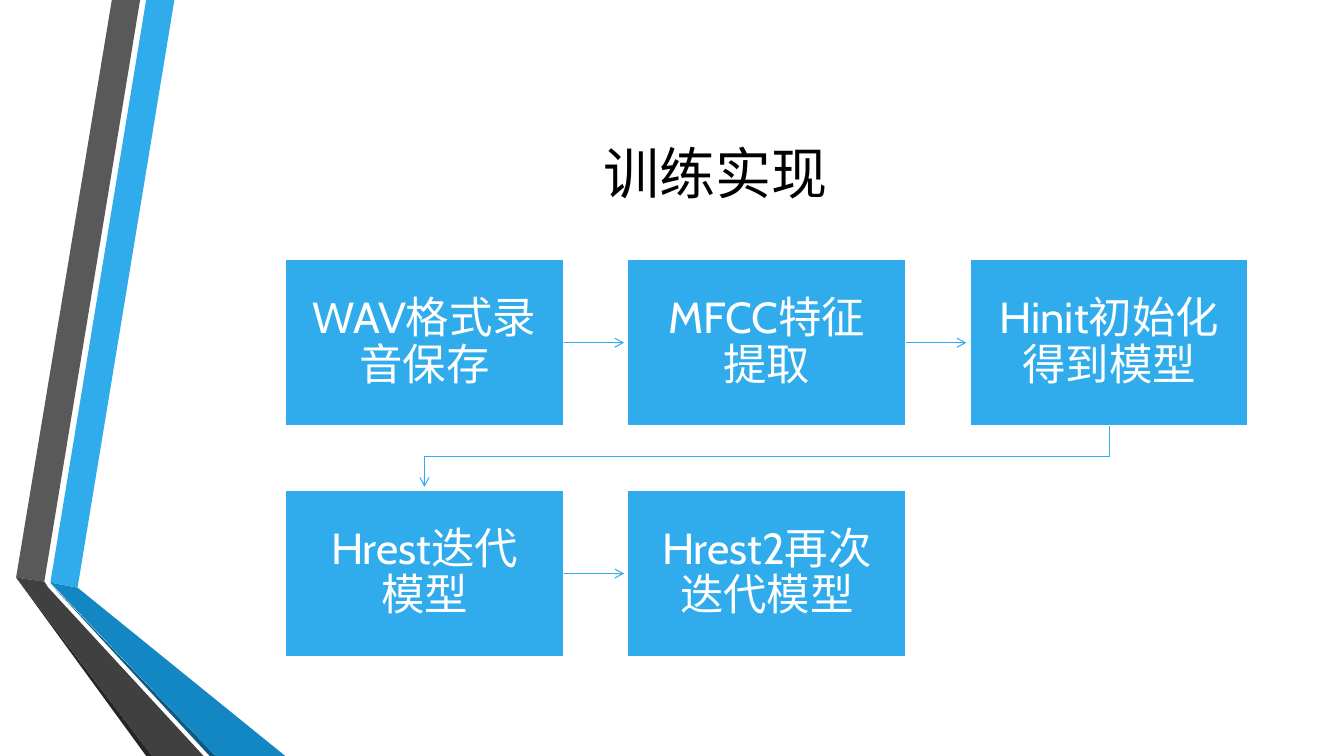
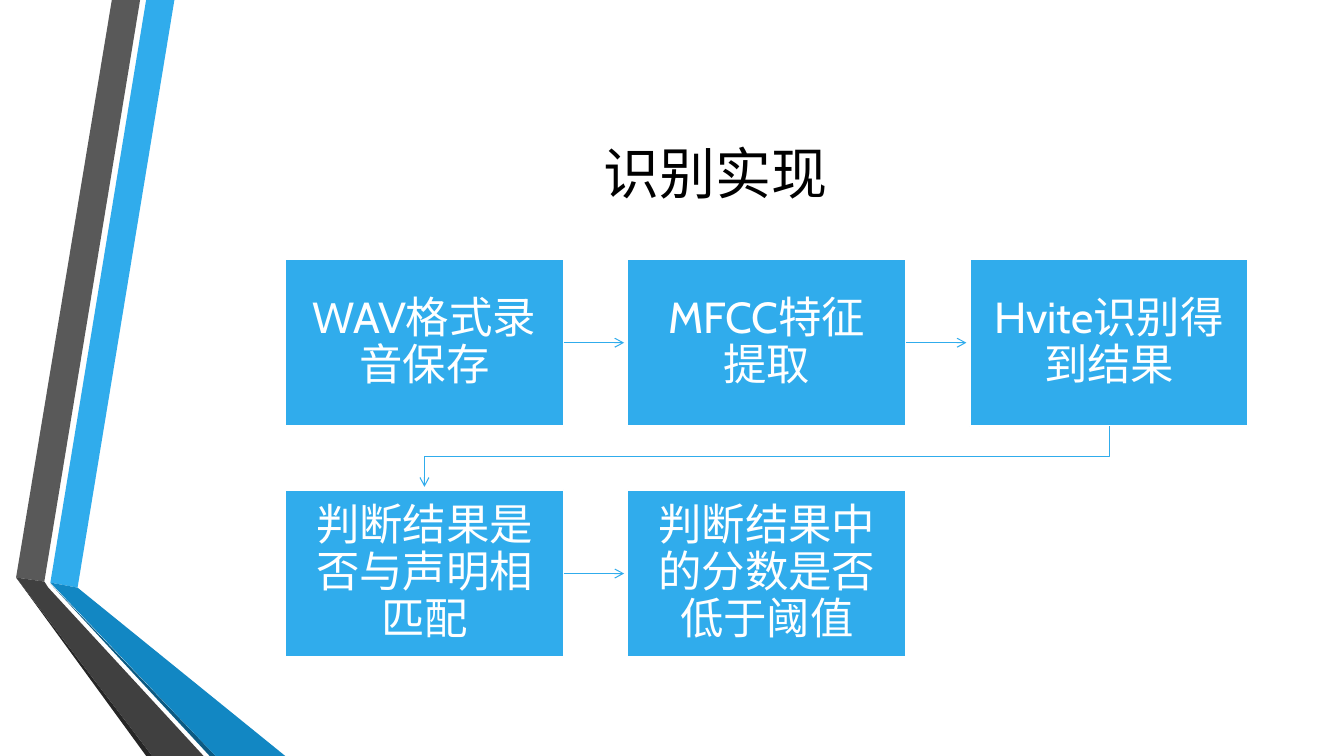
from lxml import etree
from pptx import Presentation
from pptx.dml.color import RGBColor
from pptx.enum.lang import MSO_LANGUAGE_ID
from pptx.enum.shapes import MSO_CONNECTOR, MSO_SHAPE
from pptx.enum.text import MSO_ANCHOR, PP_ALIGN
from pptx.oxml.ns import qn
from pptx.util import Inches, Pt

RECT = MSO_SHAPE.RECTANGLE
LINE, ELBOW = MSO_CONNECTOR.STRAIGHT, MSO_CONNECTOR.ELBOW
MIDDLE, CENTER = MSO_ANCHOR.MIDDLE, PP_ALIGN.CENTER
CHINESE = MSO_LANGUAGE_ID.SIMPLIFIED_CHINESE

BLUE, WHITE, BLACK = "30ACEC", "FFFFFF", "000000"
FONT = {"name": "Cabin", "language_id": CHINESE}

# Ribbon pieces, back to front: colour and corner points
RIBBONS = [
    (BLUE, [(0.5, 5.78), (0.77, 5.83), (1.73, 0), (1.45, 0)]),
    ("595959", [(1.39, 0), (1.11, 0), (0.16, 5.73), (0.44, 5.77)]),
    ("262626", [(0.16, 5.73), (1.45, 7.5), (1.51, 7.5)]),
    ("0C5A82", [(0.5, 5.79), (2.08, 7.5), (2.14, 7.5)]),
    ("1287C3", [(0.5, 5.78), (2.14, 7.5), (2.83, 7.5), (0.77, 5.83)]),
    ("404040", [(2.02, 7.5), (0.48, 5.83), (0.44, 5.77), (0.16, 5.73),
                (1.51, 7.5)]),
]

# Flow grid, three boxes to a row
COLS = 3
LEFT, RIGHT, TOP = 2.83, 12.38, 2.57
WIDE, HIGH = 2.76, 1.66
STEP = (RIGHT - LEFT - WIDE) / (COLS - 1)
DROP = 2.29
REACH = 0.6

FLOWS = {
    "训练实现": ["WAV格式录音保存", "MFCC特征提取", "Hinit初始化得到模型",
             "Hrest迭代模型", "Hrest2再次迭代模型"],
    "识别实现": ["WAV格式录音保存", "MFCC特征提取", "Hvite识别得到结果",
             "判断结果是否与声明相匹配", "判断结果中的分数是否低于阈值"],
}


def color(code):
    return RGBColor.from_string(code)


def write(frame, text, size, code):
    frame.word_wrap = True
    frame.vertical_anchor = MIDDLE
    para = frame.paragraphs[0]
    para.alignment = CENTER
    run = para.add_run()
    run.text = text
    for key, value in {**FONT, "size": Pt(size)}.items():
        setattr(run.font, key, value)
    run.font.color.rgb = color(code)
    return para


deck = Presentation()
deck.slide_width, deck.slide_height = Inches(13.33), Inches(7.5)

# Shared layout: title place and ribbons
layout = deck.slide_layouts.get_by_name("Title Only")
place = {"left": 1.62, "top": 0.75, "width": 10.96, "height": 1.92}
for key, value in place.items():
    setattr(layout.placeholders[0], key, Inches(value))

slides = [deck.slides.add_slide(layout) for title in FLOWS]
for code, points in RIBBONS:
    spots = [(Inches(x), Inches(y)) for x, y in points]
    pen = slides[0].shapes.build_freeform(*spots[0])
    pen.add_line_segments(spots[1:], close=True)
    ribbon = pen.convert_to_shape()
    ribbon.shadow.inherit = False
    ribbon.fill.solid()
    ribbon.fill.fore_color.rgb = color(code)
    ribbon.line.fill.background()
    layout.shapes.element.append(ribbon.element)

for slide, (title, steps) in zip(slides, FLOWS.items()):
    shapes = slide.shapes
    write(shapes.title.text_frame, title, 40, BLACK)

    for i, text in enumerate(steps):
        row, col = divmod(i, COLS)
        x, y = LEFT + col * STEP, TOP + row * DROP

        # Step box
        box = shapes.add_shape(RECT, Inches(x), Inches(y),
                               Inches(WIDE), Inches(HIGH))
        box.shadow.inherit = False
        box.fill.solid()
        box.fill.fore_color.rgb = color(BLUE)
        box.line.color.rgb = color(WHITE)
        box.line.width = Pt(1.25)
        frame = box.text_frame
        for side in ("left", "right", "top", "bottom"):
            setattr(frame, f"margin_{side}", Inches(0.24))
        write(frame, text, 31, WHITE).line_spacing = 0.9

        # Arrow to the next step
        if i == len(steps) - 1:
            continue
        turn = col == COLS - 1
        if turn:
            # Box of the elbow before its quarter turn
            span = col * STEP
            midx, midy = x + WIDE / 2 - span / 2, y + HIGH + REACH / 2
            ends = (midx - REACH / 2, midy - span / 2,
                    midx + REACH / 2, midy + span / 2)
        else:
            mid = y + HIGH / 2
            ends = (x + WIDE, mid, x + WIDE + REACH, mid)
        arrow = shapes.add_connector(ELBOW if turn else LINE,
                                     *[Inches(v) for v in ends])
        arrow.line.color.rgb = color(BLUE)
        arrow.line.width = Pt(0.75)
        props = arrow.element.spPr
        if turn:
            props.find(qn("a:xfrm")).set("rot", "5400000")
        etree.SubElement(props.find(qn("a:ln")), qn("a:tailEnd"), type="arrow")
        etree.SubElement(props, qn("a:effectLst"))

deck.save("out.pptx")
